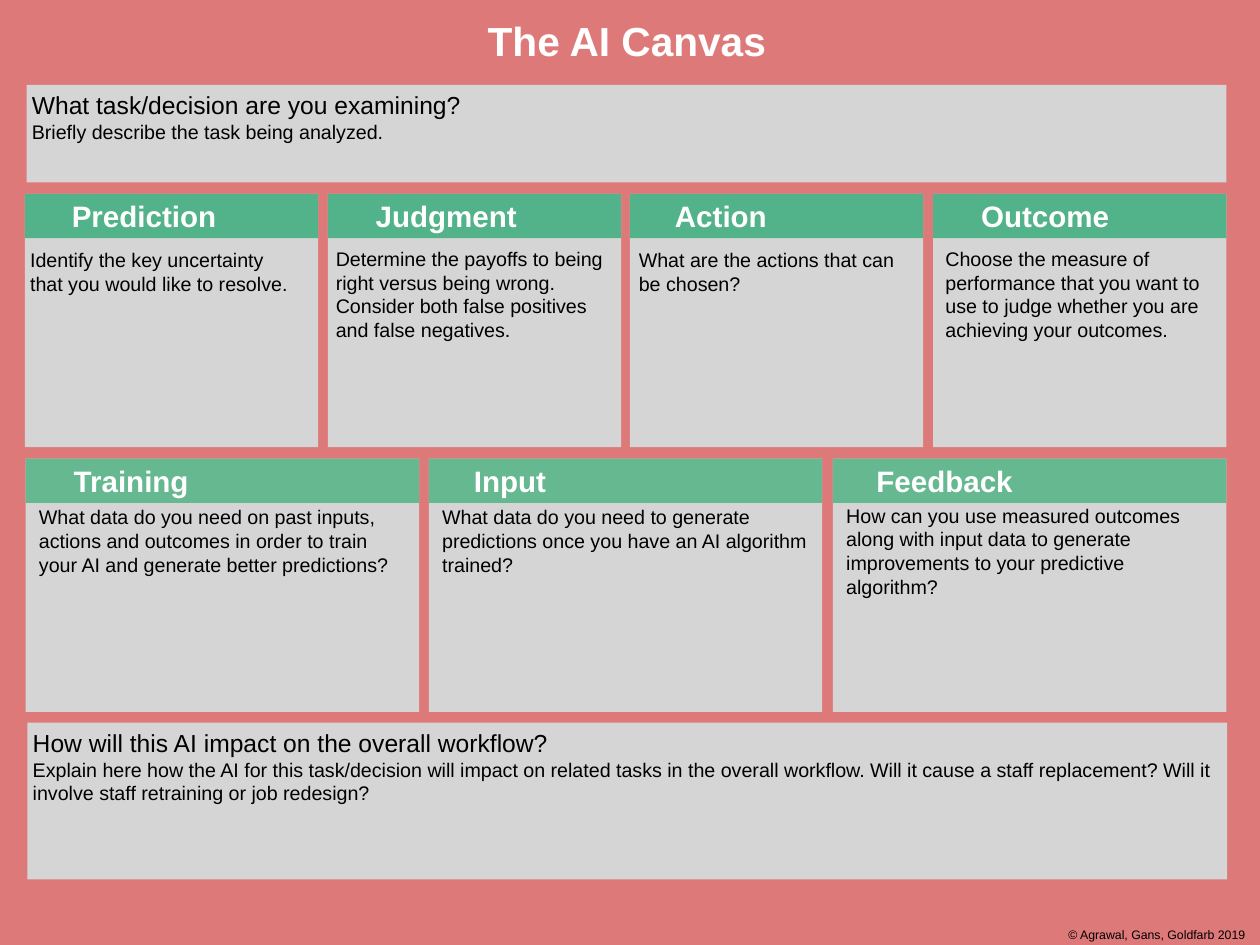
from pptx import Presentation
from pptx.dml.color import RGBColor
from pptx.enum.shapes import MSO_SHAPE
from pptx.enum.text import MSO_ANCHOR, MSO_AUTO_SIZE, PP_ALIGN
from pptx.util import Pt

PX = 9144
CORAL = RGBColor(0xDE, 0x79, 0x79)
GREY = RGBColor(0xD6, 0xD5, 0xD5)
GREEN = RGBColor(0x52, 0xB2, 0x89)
LIGHT_GREEN = RGBColor(0x66, 0xB8, 0x90)
WHITE = RGBColor(0xFF, 0xFF, 0xFF)
BLACK = RGBColor(0x00, 0x00, 0x00)

prs = Presentation()
prs.slide_width, prs.slide_height = 1422 * PX, 1067 * PX
slide = prs.slides.add_slide(prs.slide_layouts[5])
slide.background.fill.solid()
slide.background.fill.fore_color.rgb = CORAL


def add_panel(left, top, width, height, color):
    panel = slide.shapes.add_shape(
        MSO_SHAPE.RECTANGLE, left * PX, top * PX, width * PX, height * PX)
    panel.shadow.inherit = False
    panel.fill.solid()
    panel.fill.fore_color.rgb = color
    panel.line.fill.background()
    return panel


def write(text, box=None, at=None, sizes=(16,), color=BLACK, bold=False,
          align=PP_ALIGN.LEFT, anchor=MSO_ANCHOR.MIDDLE, inset=6):
    if box is None:
        box = slide.shapes.add_textbox(*(length * PX for length in at))
    frame = box.text_frame
    frame.text = text
    frame.word_wrap = True
    frame.auto_size = MSO_AUTO_SIZE.NONE
    frame.vertical_anchor = anchor
    frame.margin_left = frame.margin_right = inset * PX
    frame.margin_top = frame.margin_bottom = inset * PX
    for paragraph, size in zip(frame.paragraphs, sizes):
        paragraph.alignment = align
        paragraph.font.name = "Arial"
        paragraph.font.size = Pt(size)
        paragraph.font.bold = bold
        paragraph.font.color.rgb = color


title = slide.shapes.title
title.left, title.top, title.width, title.height = 500 * PX, 13 * PX, 415 * PX, 65 * PX
write("The AI Canvas", box=title, sizes=(33,), color=WHITE, bold=True,
      align=PP_ALIGN.CENTER)

questions = [
    (30, 96, 110, "What task/decision are you examining?\n"
     "Briefly describe the task being analyzed."),
    (31, 816, 177, "How will this AI impact on the overall workflow?\n"
     "Explain here how the AI for this task/decision will impact on related tasks "
     "in the overall workflow. Will it cause a staff replacement? Will it involve "
     "staff retraining or job redesign?"),
]
for left, top, height, question in questions:
    write(question, box=add_panel(left, top, 1354, height, GREY),
          sizes=(20, 16), anchor=MSO_ANCHOR.TOP)

decision_cards = [
    ("Prediction", 45, 179, 0, 277, 60,
     "Identify the key uncertainty that you would like to resolve."),
    ("Judgment", 44, 179, 3, 277, 110,
     "Determine the payoffs to being right versus being wrong. "
     "Consider both false positives and false negatives."),
    ("Action", 13, 179, 4, 277, 60,
     "What are the actions that can be chosen?"),
    ("Outcome", 37, 179, 8, 277, 110,
     "Choose the measure of performance that you want to use to judge "
     "whether you are achieving your outcomes."),
]
learning_cards = [
    ("Training", 43, 152, 9, 568, 85,
     "What data do you need on past inputs, actions and outcomes in order "
     "to train your AI and generate better predictions?"),
    ("Input", 36, 111, 9, 568, 85,
     "What data do you need to generate predictions once you have "
     "an AI algorithm trained?"),
    ("Feedback", 39, 174, 9, 567, 110,
     "How can you use measured outcomes along with input data to generate "
     "improvements to your predictive algorithm?"),
]
rows = [
    (decision_cards, 28, 1053, 219, 331, 316, GREEN),
    (learning_cards, 29, 940, 518, 444, 428, LIGHT_GREEN),
]
for cards, first, last, top, width, prompt_width, header_color in rows:
    pitch = (last - first) / (len(cards) - 1)
    for column, card in enumerate(cards):
        heading, indent, heading_width, shift, prompt_top, prompt_height, prompt = card
        left = round(first + column * pitch)
        add_panel(left, top, width, 286, GREY)
        add_panel(left, top, width, 50, header_color)
        write(heading, at=(left + indent, top, heading_width, 50), sizes=(24,),
              color=WHITE, bold=True, align=PP_ALIGN.CENTER)
        write(prompt, at=(left + shift, prompt_top, prompt_width, prompt_height))

write("© Agrawal, Gans, Goldfarb 2019", at=(1196, 1037, 226, 25), sizes=(10,),
      anchor=MSO_ANCHOR.TOP, inset=10)

prs.save("out.pptx")
